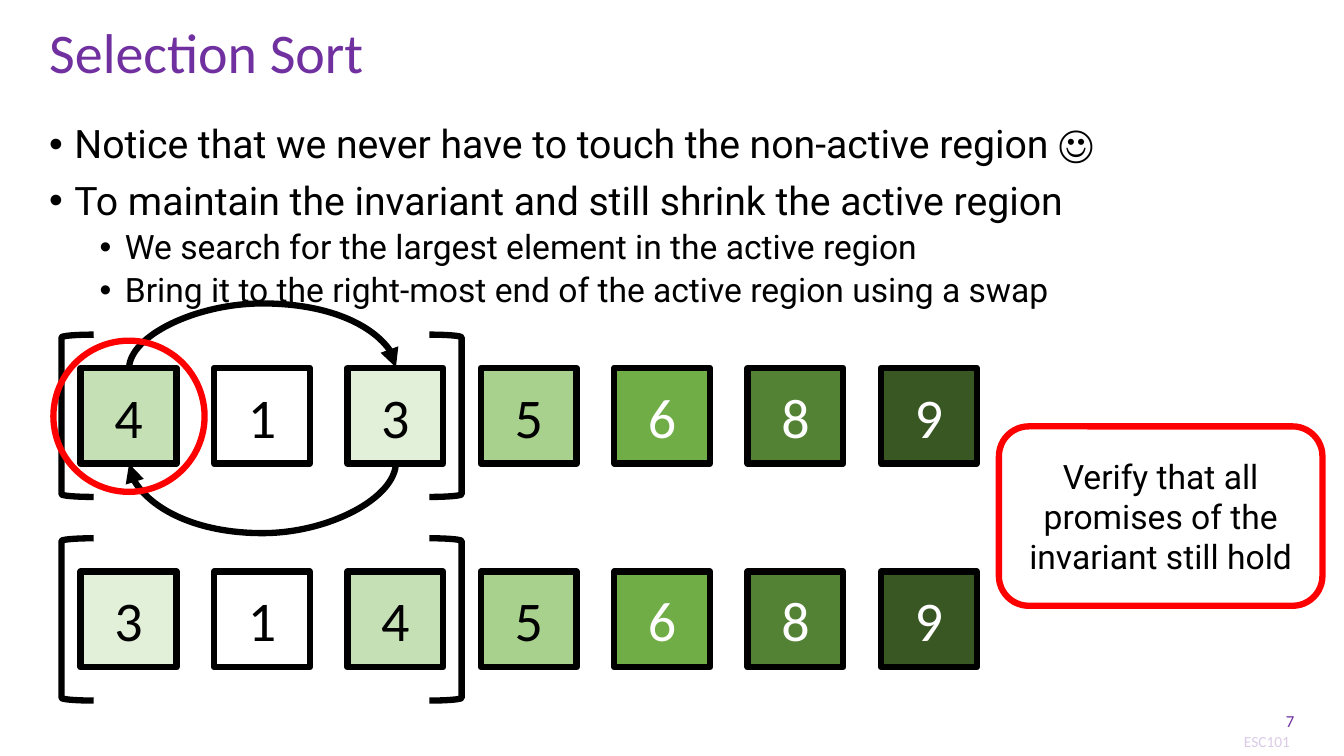
from lxml import etree
from pptx import Presentation, util as u
from pptx.dml import color as col
from pptx.enum import shapes as sh, text as tx
from pptx.oxml import ns

Pt = u.Pt
BLACK, WHITE, RED, PURPLE = "000000", "FFFFFF", "FF0000", "7030A0"
LEFT, MID, RIGHT = tx.PP_ALIGN.LEFT, tx.PP_ALIGN.CENTER, tx.PP_ALIGN.RIGHT
TOP, CENTER = tx.MSO_ANCHOR.TOP, tx.MSO_ANCHOR.MIDDLE

# Cell fill and digit colour by value
CELLS = {
    1: (WHITE, BLACK), 3: ("E2F0D9", BLACK), 4: ("C5E0B4", BLACK),
    5: ("A9D18E", BLACK), 6: ("70AD47", WHITE), 8: ("548235", WHITE),
    9: ("385723", WHITE),
}
SIDE, STEP, START = 68.4, 95.28, 57.6

# Level: text size, left margin, space before
LEVELS = [(28, 18, 10), (24, 54, 5)]
POINTS = [
    (0, "Notice that we never have to touch the non-active region ☺"),
    (0, "To maintain the invariant and still shrink the active region"),
    (1, "We search for the largest element in the active region"),
    (1, "Bring it to the right-most end of the active region using a swap"),
]


def rgb(code):
    return col.RGBColor.from_string(code)


def sub(node, tag, **attrs):
    """Add a drawing element below node."""
    kid = etree.SubElement(node, ns.qn(tag))
    for key, val in attrs.items():
        kid.set(key, str(val))
    return kid


def style(item, form):
    for key, val in form.items():
        setattr(item, key, val)


def ink(par, size, face, code):
    style(par.font, {"size": Pt(size), "name": face})
    par.font.color.rgb = rgb(code)


def write(shape, words, size, face, code, align=MID, anchor=CENTER):
    frame = shape.text_frame
    style(frame, {"word_wrap": True, "vertical_anchor": anchor})
    par = frame.paragraphs[0]
    style(par, {"text": words, "alignment": align})
    ink(par, size, face, code)
    return par


def label(slide, box, *args):
    return write(slide.shapes.add_textbox(*map(Pt, box)), *args)


def block(slide, kind, box, fill=None, edge=None):
    """Preset shape with optional fill and outline."""
    shape = slide.shapes.add_shape(kind, *map(Pt, box))
    shape.shadow.inherit = False
    if fill:
        shape.fill.solid()
        shape.fill.fore_color.rgb = rgb(fill)
    else:
        shape.fill.background()
    if edge:
        shape.line.color.rgb = rgb(edge)
        shape.line.width = Pt(4.5)
    else:
        shape.line.fill.background()
    return shape


def points(slide, box):
    """Bulleted text on two levels."""
    frame = slide.shapes.add_textbox(*map(Pt, box)).text_frame
    frame.word_wrap = True
    for num, (level, words) in enumerate(POINTS):
        par = frame.add_paragraph() if num else frame.paragraphs[0]
        size, left, gap = LEVELS[level]
        prop = par._p.get_or_add_pPr()
        prop.set("marL", str(Pt(left)))
        prop.set("indent", str(Pt(-18)))
        sub(prop, "a:buFont", typeface="Arial")
        sub(prop, "a:buChar", char="•")
        style(par, {"text": words, "level": level, "line_spacing": 0.9,
                    "space_before": Pt(gap if num else 0)})
        ink(par, size, "Roboto", BLACK)


def array(slide, top, values):
    """Row of cells, with brackets round the active region."""
    for num, val in enumerate(values):
        fill, code = CELLS[val]
        cell = block(slide, sh.MSO_SHAPE.RECTANGLE,
                     (START + num * STEP, top, SIDE, SIDE), fill, BLACK)
        write(cell, str(val), 40, "Calibri", code)
    for left, flip in ((43.92, "0"), (306.72, "1")):
        mark = block(slide, sh.MSO_SHAPE.LEFT_BRACKET,
                     (left, top - 23.76, 23.04, 115.92), edge=BLACK)
        mark._element.spPr.xfrm.set("flipH", flip)


def swap(slide, begin, end, bend):
    """Curved arrow: a one-point-wide connector turned by 90 degrees."""
    line = slide.shapes.add_connector(
        sh.MSO_CONNECTOR.CURVE, *map(Pt, begin + end))
    line.line.color.rgb = rgb(BLACK)
    line.line.width = Pt(4.5)
    prop = line._element.spPr
    prop.xfrm.set("rot", "5400000")
    guides = prop.prstGeom.get_or_add_avLst()
    sub(guides, "a:gd", name="adj1", fmla=f"val {bend * 100000}")
    sub(line.line._get_or_add_ln(), "a:tailEnd", type="triangle")
    sub(prop, "a:effectLst")


def main():
    deck = Presentation()
    style(deck, {"slide_width": Pt(960), "slide_height": Pt(540)})
    slide = deck.slides.add_slide(deck.slide_layouts[6])

    # Course footer under a translucent veil
    label(slide, (849.6, 519.12, 110.88, 20.88),
          "ESC101", 11, "Calibri", PURPLE, MID, TOP)
    veil = block(slide, sh.MSO_SHAPE.RECTANGLE,
                 (849.6, 412.56, 110.4, 127.44), WHITE)
    tint = veil._element.spPr.find(".//" + ns.qn("a:srgbClr"))
    sub(tint, "a:alpha", val=75000)

    # Title, bullets and page number
    title = label(slide, (28.08, 0, 903.6, 79.2),
                  "Selection Sort", 40, "Calibri", PURPLE, LEFT)
    title.line_spacing = 0.9
    points(slide, (28.08, 85.68, 903.6, 407.52))
    label(slide, (894.24, 500.4, 37.44, 28.8),
          "7", 12, "Calibri", PURPLE, RIGHT)

    # Array before and after the swap
    array(slide, 262.8, [4, 1, 3, 5, 6, 8, 9])
    array(slide, 408.24, [3, 1, 4, 5, 6, 8, 9])

    # Swap arrows above and below the first row
    swap(slide, (188, 358.2), (187, 167.6), 47)
    swap(slide, (187, 235.4), (188, 426), 51)

    # Callout and ring round the largest element
    note = block(slide, sh.MSO_SHAPE.ROUNDED_RECTANGLE,
                 (713.52, 304.56, 231.12, 128.16), WHITE, RED)
    write(note, "Verify that all promises of the invariant still hold",
          24, "Roboto", BLACK)
    block(slide, sh.MSO_SHAPE.OVAL, (38.16, 243.36, 108, 108), edge=RED)

    deck.save("out.pptx")


if __name__ == "__main__":
    main()
